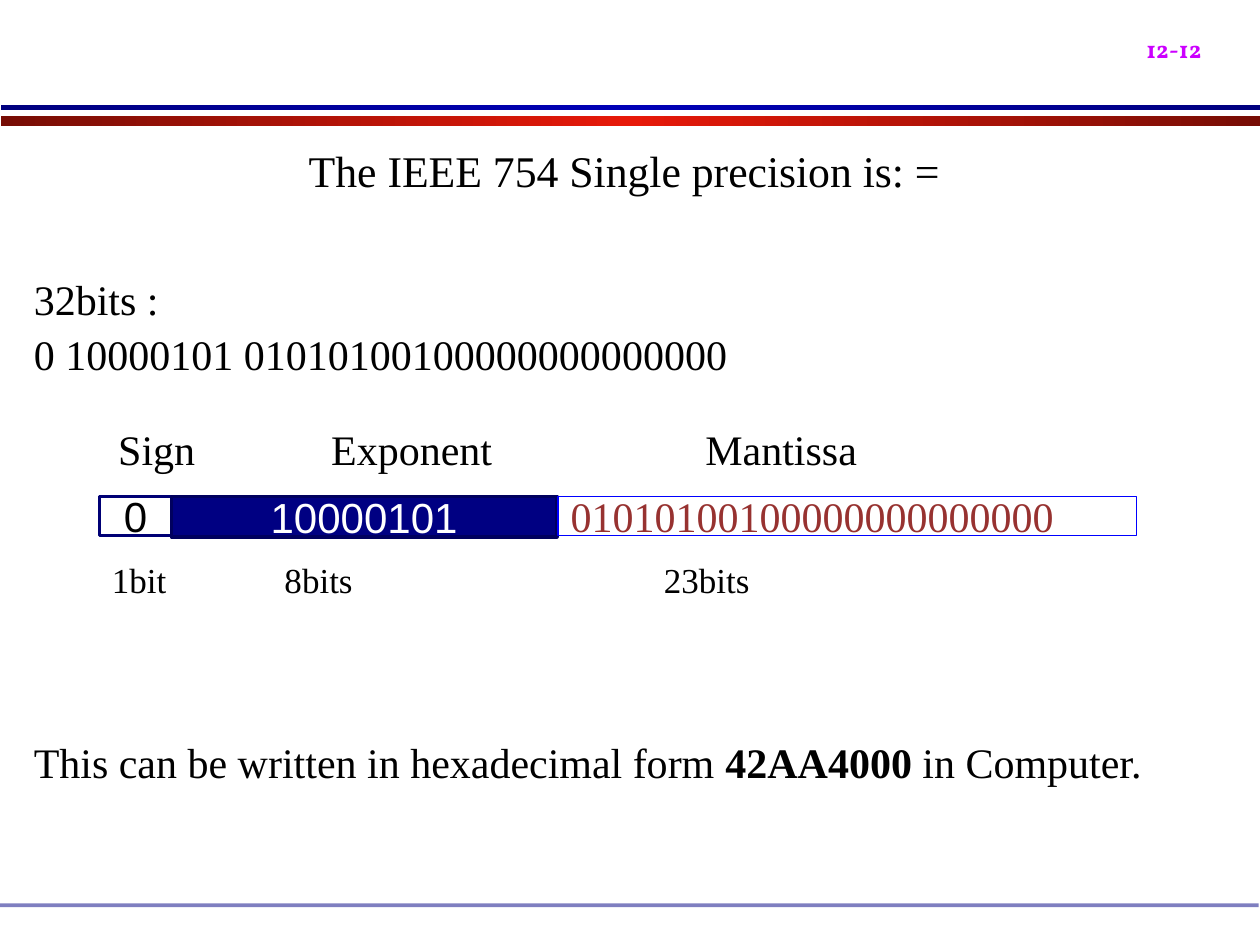
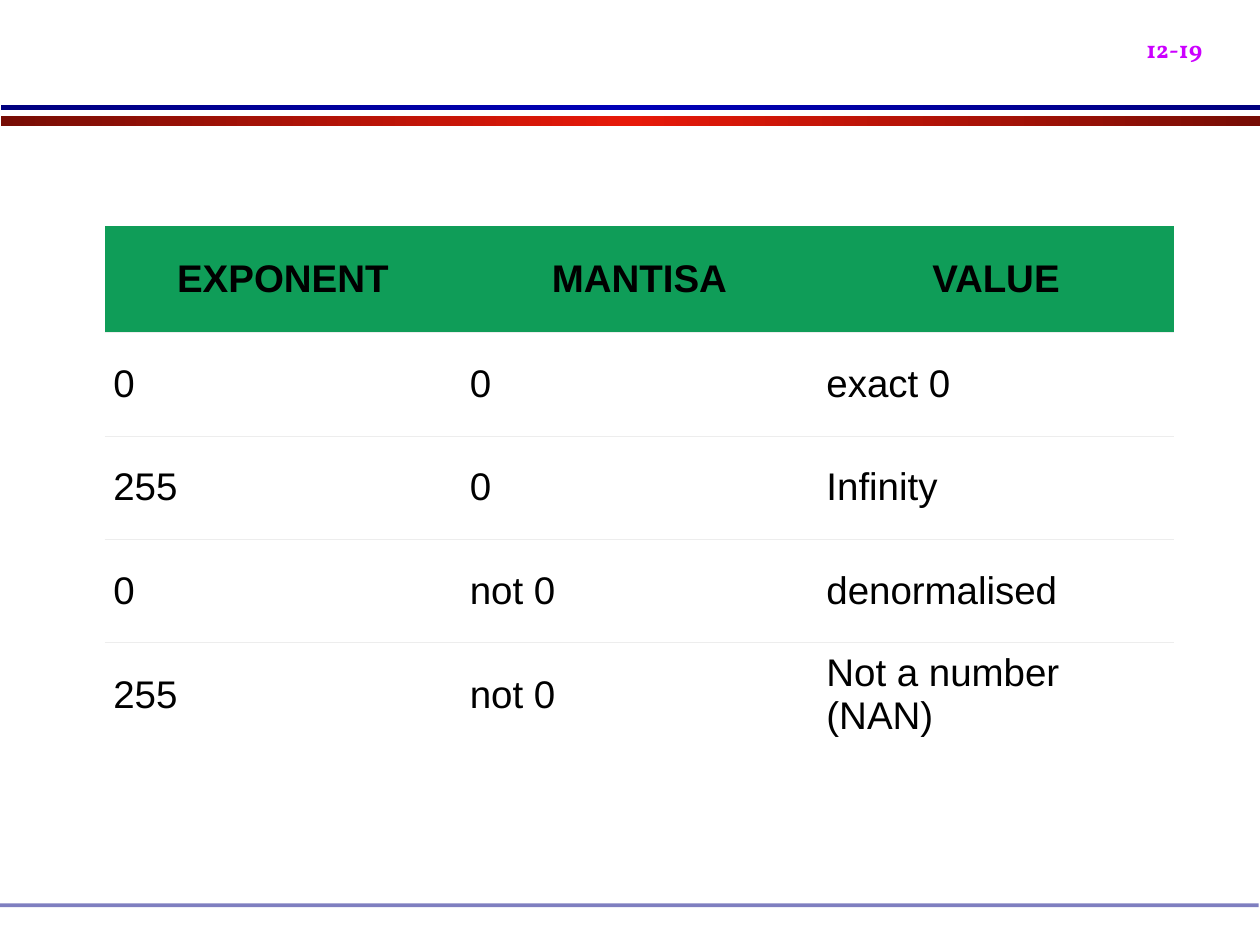
"""Two slides on the IEEE 754 single precision format."""
from copy import deepcopy

from lxml import etree
from pptx import Presentation
from pptx.dml import color
from pptx.enum import shapes, text
from pptx.oxml import ns
from pptx.util import Inches, Pt

SERIF, SANS, NUMBER_FONT = "Times New Roman", "Arial", "Vollkorn"
BLACK, WHITE, NAVY = "000000", "FFFFFF", "000082"
RED_BAND = ("770D05", "E71909", "770D05")
BLUE_BAND = ("00007F", "0000B6", "00007F")
MAGENTA, BROWN, BLUE = "CC00FF", "973230", "0000FF"
GREEN, RULE_GREY = "0F9D58", "EDEDED"
PLAIN_TABLE_STYLE = "{2D5ABB26-0587-4C30-8999-92F81FD0307C}"
LEFT, CENTER = text.PP_ALIGN.LEFT, text.PP_ALIGN.CENTER

SPECIAL_VALUES = [
    ("EXPONENT", "MANTISA", "VALUE"),
    ("0", "0", "exact 0"),
    ("255", "0", "Infinity"),
    ("0", "not 0", "denormalised"),
    ("255", "not 0", "Not a number (NAN)"),
]


def rgb(value):
    """Turn a hex string into a colour."""
    return color.RGBColor.from_string(value)


def add_run(paragraph, words, size, font=SERIF, ink=BLACK, bold=False):
    """Add one formatted run to a paragraph."""
    run = paragraph.add_run()
    run.text = words
    run.font.size = Pt(size)
    run.font.name = font
    run.font.bold = bold
    run.font.color.rgb = rgb(ink)
    return run


def add_text(slide, left, top, width, height, align=LEFT):
    """Add a wrapping text box and return its first paragraph."""
    box = slide.shapes.add_textbox(Inches(left), Inches(top), Inches(width), Inches(height))
    box.text_frame.word_wrap = True
    paragraph = box.text_frame.paragraphs[0]
    paragraph.alignment = align
    return paragraph


def add_box(slide, left, top, width, height, fill=None, line=None, line_width=2):
    """Add a rectangle with an optional fill and outline."""
    shape = slide.shapes.add_shape(shapes.MSO_SHAPE.RECTANGLE, Inches(left), Inches(top),
                                   Inches(width), Inches(height))
    shape.shadow.inherit = False
    if fill:
        shape.fill.solid()
        shape.fill.fore_color.rgb = rgb(fill)
    else:
        shape.fill.background()
    if line:
        shape.line.color.rgb = rgb(line)
        shape.line.width = Pt(line_width)
    else:
        shape.line.fill.background()
    return shape


def add_gradient_band(slide, top, height, colours):
    """Add a full-width band that runs through three colours."""
    band = add_box(slide, 0.01, top, 9.99, height)
    band.fill.gradient()
    band.fill.gradient_angle = 0
    stop_list = band._element.spPr.find(".//" + ns.qn("a:gsLst"))
    stop_list.append(deepcopy(stop_list[0]))
    for stop, position, colour in zip(band.fill.gradient_stops, (0, 0.5, 1), colours):
        stop.color.rgb = rgb(colour)
        stop.position = position


def add_base_slide(presentation, number):
    """Add a blank slide with the shared bands and page number."""
    slide = presentation.slides.add_slide(presentation.slide_layouts[6])
    add_gradient_band(slide, 0.92, 0.08, RED_BAND)
    add_gradient_band(slide, 0.83, 0.04, BLUE_BAND)
    footer = add_box(slide, 0, 7.17, 9.99, 0.03, NAVY)
    tint = footer._element.spPr.find(".//" + ns.qn("a:srgbClr"))
    etree.SubElement(tint, ns.qn("a:alpha"), val="50000")
    paragraph = add_text(slide, 9, 0, 1.08, 0.56)
    paragraph.space_before = Pt(15)
    run = add_run(paragraph, number, 24, NUMBER_FONT, MAGENTA, True)
    run.font._element.set("baseline", "-25000")
    return slide


def add_bit_field(slide, left, width, height, bits, fill, line, ink):
    """Add a box of the bit layout with centred digits."""
    shape = add_box(slide, left, 3.94, width, height, fill, line)
    shape.text_frame.vertical_anchor = text.MSO_ANCHOR.MIDDLE
    paragraph = shape.text_frame.paragraphs[0]
    paragraph.alignment = CENTER
    add_run(paragraph, bits, 24, SANS, ink)


def add_label_row(slide, top, size, labels):
    """Add a row of labels, each given with its left edge."""
    for left, words in labels:
        add_run(add_text(slide, left, top, 2, 0.45), words, size)


def add_bottom_rule(cell):
    """Draw a hairline under a table cell."""
    properties = cell._tc.get_or_add_tcPr()
    rule = etree.Element(ns.qn("a:lnB"), w=str(Pt(0.23)))
    fill = etree.SubElement(rule, ns.qn("a:solidFill"))
    etree.SubElement(fill, ns.qn("a:srgbClr"), val=RULE_GREY)
    properties.insert(0, rule)


def add_value_table(slide, rows):
    """Add a table with a green header and ruled rows."""
    frame = slide.shapes.add_table(len(rows), len(rows[0]), Inches(0.83), Inches(1.79),
                                   Inches(8.49), Inches(4.13))
    table = frame.table
    table.horz_banding = False
    next(frame._element.iter(ns.qn("a:tableStyleId"))).text = PLAIN_TABLE_STYLE
    for column in table.columns:
        column.width = Inches(2.83)
    for row_index, values in enumerate(rows):
        header = row_index == 0
        table.rows[row_index].height = Inches(0.85 if header else 0.82)
        for cell, value in zip(table.rows[row_index].cells, values):
            cell.fill.solid()
            cell.fill.fore_color.rgb = rgb(GREEN if header else WHITE)
            cell.vertical_anchor = text.MSO_ANCHOR.MIDDLE
            cell.margin_left = cell.margin_right = Inches(0.04 if header else 0.07)
            paragraph = cell.text_frame.paragraphs[0]
            paragraph.alignment = CENTER if header else LEFT
            add_run(paragraph, value, 22, SANS, bold=header)
            if row_index < len(rows) - 1:
                add_bottom_rule(cell)


def build_format_slide(presentation):
    """Show the sign, exponent and mantissa of one number."""
    slide = add_base_slide(presentation, "12-12")
    add_run(add_text(slide, 0.64, 1.09, 8.63, 0.5, CENTER),
            "The IEEE 754 Single precision is: =", 25)

    heading = add_text(slide, 0.17, 2.12, 9.5, 0.9)
    heading.space_after = Pt(2.6)
    add_run(heading, "32bits :", 24)
    bits = heading._parent.add_paragraph()
    add_run(bits, "0 10000101 01010100100000000000000", 24)

    add_label_row(slide, 3.31, 24, [(0.84, "Sign"), (2.53, "Exponent"), (5.5, "Mantissa")])
    add_bit_field(slide, 0.79, 0.57, 0.31, "0", WHITE, "000075", BLACK)
    add_bit_field(slide, 1.36, 3.06, 0.32, "10000101", NAVY, "00005E", WHITE)
    add_run(add_text(slide, 4.43, 3.84, 4.21, 0.5), "01010100100000000000000", 24, ink=BROWN)
    add_box(slide, 4.43, 3.94, 4.59, 0.31, line=BLUE, line_width=1)
    add_label_row(slide, 4.38, 20, [(0.79, "1bit"), (2.16, "8bits"), (5.17, "23bits")])

    closing = add_text(slide, 0.17, 5.8, 9.5, 0.5)
    add_run(closing, "This can be written in hexadecimal form ", 24)
    add_run(closing, "42AA4000", 24, bold=True)
    add_run(closing, " in Computer.", 24)


def build_special_values_slide(presentation):
    """List the special exponent and mantissa pairs."""
    slide = add_base_slide(presentation, "12-19")
    add_value_table(slide, SPECIAL_VALUES)


def main():
    """Build and save the presentation."""
    presentation = Presentation()
    presentation.slide_width, presentation.slide_height = Inches(10), Inches(7.5)
    build_format_slide(presentation)
    build_special_values_slide(presentation)
    presentation.save("out.pptx")


main()
